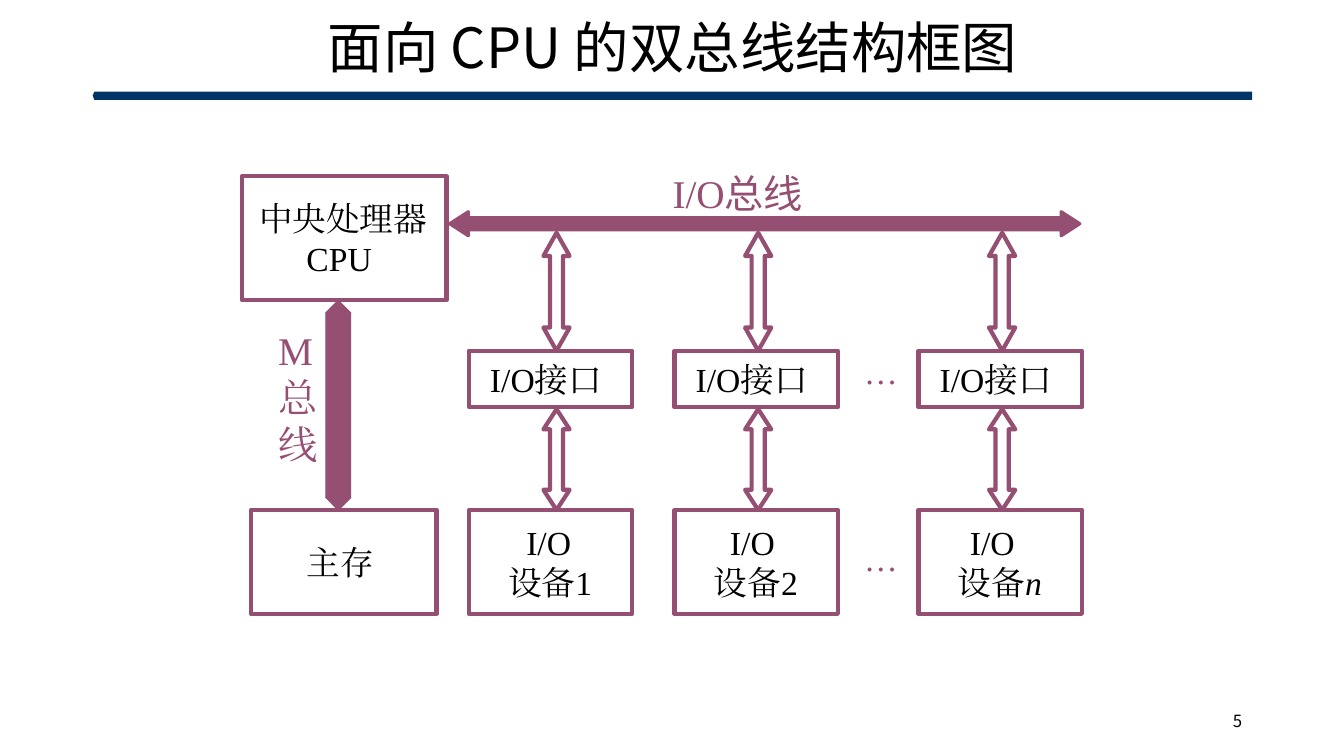
from dataclasses import dataclass

from lxml.etree import SubElement
from pptx import Presentation
from pptx.dml.color import RGBColor
from pptx.enum.shapes import MSO_SHAPE as Preset
from pptx.enum.text import MSO_ANCHOR as Anchor, PP_ALIGN as Align
from pptx.oxml.ns import qn
from pptx.util import Inches, Pt


@dataclass(frozen=True)
class Theme:
    ink: RGBColor = RGBColor(0x00, 0x00, 0x00)
    plum: RGBColor = RGBColor(0x95, 0x4F, 0x72)
    navy: RGBColor = RGBColor(0x00, 0x33, 0x66)
    sans: str = "Noto Sans CJK SC"
    serif: str = "Times New Roman"
    title: float = 39.6
    bus: float = 28
    block: float = 24
    number: float = 12
    outline: float = 3


@dataclass(frozen=True)
class Box:
    left: float
    top: float
    width: float
    height: float

    def area(self, left, top, width, height):
        return Box(self.left + left, self.top + top, width, height)

    def lengths(self):
        return [Inches(v) for v in (self.left, self.top, self.width, self.height)]


THEME = Theme()


def apply(target, values):
    for name, value in values.items():
        setattr(target, name, value)


def write(shape, lines, size, color, font=THEME.serif, align=Align.LEFT,
          anchor=Anchor.TOP, spacing=None):
    frame = shape.text_frame
    apply(frame, {"word_wrap": True, "vertical_anchor": anchor,
                  "margin_left": 0, "margin_right": 0,
                  "margin_top": 0, "margin_bottom": 0})
    for index, (indent, runs) in enumerate(lines):
        paragraph = frame.add_paragraph() if index else frame.paragraphs[0]
        apply(paragraph, {"alignment": align, "line_spacing": spacing})
        paragraph._p.get_or_add_pPr().set("marL", str(Inches(indent)))
        for text, changes in runs:
            run = paragraph.add_run()
            run.text = text
            values = {"size": Pt(size), "name": font, **changes}
            apply(run.font, values)
            run.font.color.rgb = color
            east_asian = SubElement(run._r.get_or_add_rPr(), qn("a:ea"))
            east_asian.set("typeface", values["name"])


def add_text(slide, box, lines, size, color, **options):
    shape = slide.shapes.add_textbox(*box.lengths())
    write(shape, lines, size, color, **options)


def style(shape, fill=None, line=None, width=THEME.outline):
    shape.shadow.inherit = False
    for paint, color in ((shape.fill, fill), (shape.line.fill, line)):
        if color is None:
            paint.background()
        else:
            paint.solid()
            paint.fore_color.rgb = color
    if line is not None:
        shape.line.width = Pt(width)


def add_preset(slide, preset, box, adjustments=(), **options):
    shape = slide.shapes.add_shape(preset, *box.lengths())
    for index, value in enumerate(adjustments):
        shape.adjustments[index] = value
    style(shape, **options)
    return shape


def add_block(slide, box, lines):
    shape = add_preset(slide, Preset.RECTANGLE, box, line=THEME.plum)
    write(shape, lines, THEME.block, THEME.ink, anchor=Anchor.MIDDLE)


def add_open_arrow(slide, box, head):
    center = box.left + box.width / 2
    wing, shaft = box.width / 2, box.width / 4
    bottom = box.top + box.height
    upper, lower = box.top + head, bottom - head
    right = [(wing, upper), (shaft, upper), (shaft, lower), (wing, lower)]
    left = [(-x, y) for x, y in reversed(right)]
    points = [(0, box.top), *right, (0, bottom), *left]
    outline = [(Inches(center + x), Inches(y)) for x, y in points]
    builder = slide.shapes.build_freeform(*outline[0])
    builder.add_line_segments(outline[1:], close=True)
    arrow = builder.convert_to_shape()
    style(arrow, line=THEME.plum)
    SubElement(arrow._element.spPr.find(qn("a:ln")), qn("a:round"))


def add_heading(slide, box):
    rule = add_preset(slide, Preset.PENTAGON, box.area(0, 0.74, box.width, 0.08),
                      [0.2], fill=THEME.navy)
    rule._element.spPr.find(qn("a:xfrm")).set("flipH", "1")
    add_text(slide, box.area(0, 0, box.width, 0.66),
             [(0, [("面向 CPU 的双总线结构框图", {})])],
             THEME.title, THEME.ink, font=THEME.sans, align=Align.CENTER,
             anchor=Anchor.MIDDLE, spacing=0.9)


def add_page_number(slide, box):
    add_text(slide, box, [(0, [("5", {})])], THEME.number, THEME.ink,
             font=THEME.sans, align=Align.RIGHT, anchor=Anchor.MIDDLE)


def add_processor_and_memory(slide, box):
    add_block(slide, box.area(0, 0, 2.03, 1.23),
              [(0.17, [("中央处理器", {})]), (0.64, [("CPU", {})])])
    add_text(slide, box.area(0.36, 1.49, 0.47, 1.4),
             [(0, [(character, {})]) for character in "M总线"],
             THEME.bus, THEME.plum)
    add_preset(slide, Preset.UP_DOWN_ARROW, box.area(0.83, 1.23, 0.25, 2.08),
               [0.5, 0.98], fill=THEME.plum, line=THEME.plum, width=0.75)
    add_block(slide, box.area(0.09, 3.31, 1.84, 1.03), [(0.55, [("主存", {})])])


def add_bus(slide, box):
    add_text(slide, box.area(2.21, 0, 1.98, 0.47),
             [(0, [("I/O", {}), ("总线", {"name": THEME.sans})])],
             THEME.bus, THEME.plum)
    add_preset(slide, Preset.LEFT_RIGHT_ARROW, box.area(0, 0.42, box.width, 0.24),
               [0.5, 0.773], fill=THEME.plum, line=THEME.plum, width=2.25)


def add_device_column(slide, box, axis, indent, label):
    add_open_arrow(slide, box.area(axis - 0.13, 0, 0.26, 1.17), 0.23)
    add_open_arrow(slide, box.area(axis - 0.13, 1.75, 0.26, 1), 0.2)
    add_block(slide, box.area(0, 1.17, box.width, 0.56),
              [(0.21, [("I/O接口", {})])])
    add_block(slide, box.area(0, 2.75, box.width, 1.03),
              [(indent, [("I/O", {})]),
               (0.39, [("设备", {}), (label, {"italic": label.isalpha()})])])


def add_devices(slide, box):
    columns = [(0, 0.87, 0.57, "1"), (2.04, 0.83, 0.55, "2"),
               (4.46, 0.83, 0.51, "n")]
    for left, axis, indent, label in columns:
        add_device_column(slide, box.area(left, 0, 1.62, box.height),
                          axis, indent, label)
    for top in (1.17, 3.03):
        add_text(slide, box.area(3.92, top, 0.41, 0.4), [(0, [("…", {})])],
                 THEME.block, THEME.plum)


def main():
    presentation = Presentation()
    apply(presentation, {"slide_width": Inches(13.33), "slide_height": Inches(7.5)})
    slide = presentation.slides.add_slide(presentation.slide_layouts[6])
    add_heading(slide, Box(0.92, 0.17, 11.5, 0.82))
    add_page_number(slide, Box(9.42, 6.95, 2.9, 0.4))
    add_processor_and_memory(slide, Box(2.4, 1.75, 2.03, 4.34))
    add_bus(slide, Box(4.46, 1.68, 6.25, 0.66))
    add_devices(slide, Box(4.65, 2.31, 6.08, 3.78))
    presentation.save("out.pptx")


if __name__ == "__main__":
    main()
